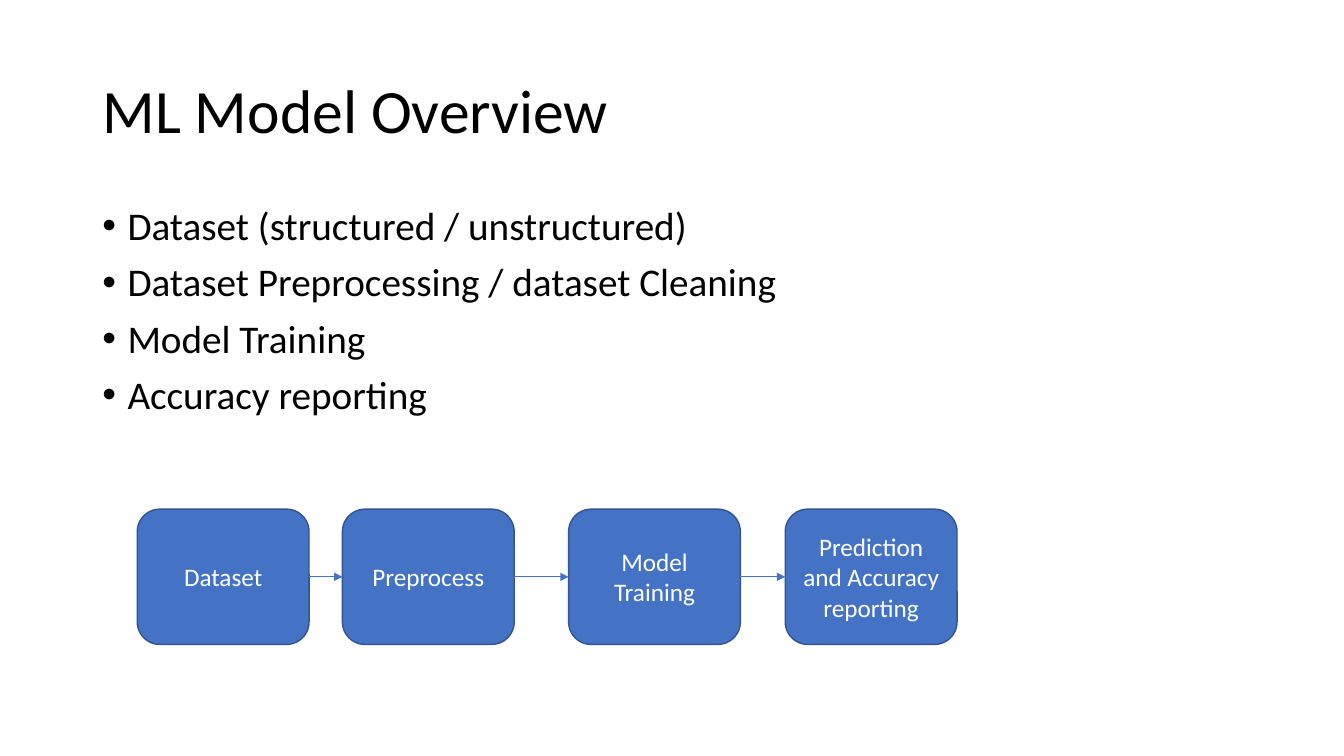
from itertools import pairwise

from lxml.etree import SubElement
from pptx import Presentation
from pptx.dml.color import RGBColor
from pptx.enum.shapes import MSO_CONNECTOR, MSO_SHAPE
from pptx.enum.text import MSO_ANCHOR, MSO_AUTO_SIZE, PP_ALIGN
from pptx.oxml.ns import qn
from pptx.util import Cm, Pt

TITLE = "ML Model Overview"
BULLETS = [
    "Dataset (structured / unstructured)",
    "Dataset Preprocessing / dataset Cleaning",
    "Model Training",
    "Accuracy reporting",
]
STEPS = [
    ("Dataset", 3.46),
    ("Preprocess", 8.63),
    ("Model Training", 14.33),
    ("Prediction and Accuracy reporting", 19.79),
]

FONT = "Calibri"
BLACK = RGBColor(0x00, 0x00, 0x00)
WHITE = RGBColor(0xFF, 0xFF, 0xFF)
BLUE = RGBColor(0x44, 0x72, 0xC4)
DARK_BLUE = RGBColor(0x32, 0x54, 0x91)

TEXT_LEFT, TEXT_WIDTH = Cm(2.33), Cm(29.21)
STEP_TOP, STEP_WIDTH, STEP_HEIGHT = Cm(12.83), Cm(4.33), Cm(3.41)


def set_font(paragraph, size, color):
    paragraph.font.name = FONT
    paragraph.font.size = Pt(size)
    paragraph.font.color.rgb = color


def add_title(slide):
    title = slide.shapes.title
    title.left, title.top = TEXT_LEFT, Cm(1.01)
    title.width, title.height = TEXT_WIDTH, Cm(3.68)
    frame = title.text_frame
    frame.text = TITLE
    frame.auto_size = MSO_AUTO_SIZE.NONE
    frame.vertical_anchor = MSO_ANCHOR.MIDDLE
    paragraph = frame.paragraphs[0]
    paragraph.alignment = PP_ALIGN.LEFT
    paragraph.line_spacing = 0.9
    set_font(paragraph, 44, BLACK)


def add_bullets(slide):
    box = slide.shapes.add_textbox(TEXT_LEFT, Cm(5.08), TEXT_WIDTH, Cm(12.09))
    frame = box.text_frame
    frame.word_wrap = True
    frame.text = "\n".join(BULLETS)
    for index, paragraph in enumerate(frame.paragraphs):
        paragraph.line_spacing = 0.9
        paragraph.space_before = Pt(10 if index else 0)
        properties = paragraph._p.get_or_add_pPr()
        properties.set("marL", str(Cm(0.635)))
        properties.set("indent", str(-Cm(0.635)))
        SubElement(properties, qn("a:buFont"), typeface="Arial")
        SubElement(properties, qn("a:buChar"), char="•")
        set_font(paragraph, 28, BLACK)


def add_step(slide, label, left):
    step = slide.shapes.add_shape(
        MSO_SHAPE.ROUNDED_RECTANGLE, Cm(left), STEP_TOP, STEP_WIDTH, STEP_HEIGHT
    )
    step.shadow.inherit = False
    step.fill.solid()
    step.fill.fore_color.rgb = BLUE
    step.line.color.rgb = DARK_BLUE
    step.line.width = Pt(1)
    frame = step.text_frame
    frame.word_wrap = True
    frame.vertical_anchor = MSO_ANCHOR.MIDDLE
    frame.text = label
    paragraph = frame.paragraphs[0]
    paragraph.alignment = PP_ALIGN.CENTER
    set_font(paragraph, 18, WHITE)
    return step


def add_arrow(slide, start, end):
    middle = STEP_TOP + STEP_HEIGHT // 2
    arrow = slide.shapes.add_connector(
        MSO_CONNECTOR.STRAIGHT, start.left + start.width, middle, end.left, middle
    )
    arrow.line.color.rgb = BLUE
    arrow.line.width = Pt(0.5)
    SubElement(arrow.line._get_or_add_ln(), qn("a:tailEnd"), type="triangle")
    SubElement(arrow._element.spPr, qn("a:effectLst"))


def main():
    """Build the machine learning overview slide with its process flow."""
    presentation = Presentation()
    presentation.slide_width, presentation.slide_height = Cm(33.87), Cm(19.05)
    slide = presentation.slides.add_slide(presentation.slide_layouts[5])
    add_title(slide)
    add_bullets(slide)
    steps = [add_step(slide, label, left) for label, left in STEPS]
    for start, end in pairwise(steps):
        add_arrow(slide, start, end)
    presentation.save("out.pptx")


if __name__ == "__main__":
    main()
